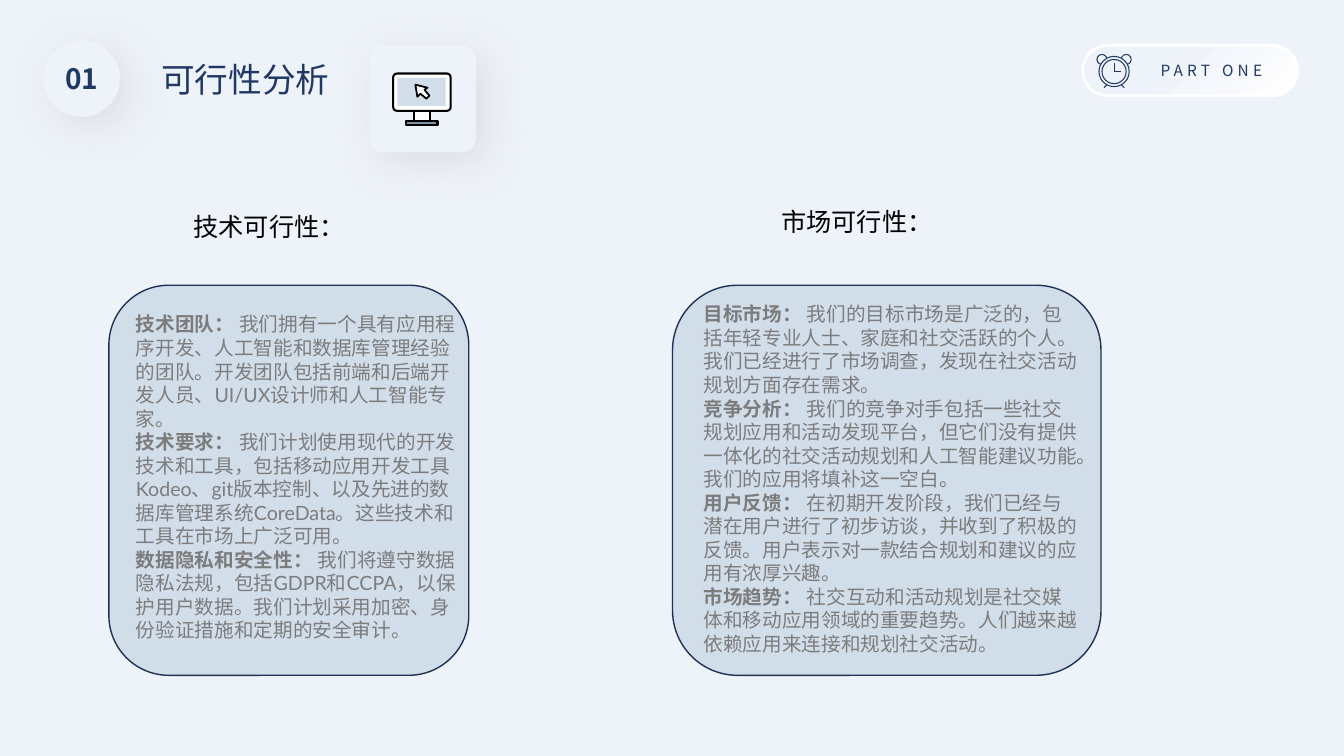
from dataclasses import dataclass

from lxml.etree import SubElement
from pptx import Presentation
from pptx.dml.color import RGBColor
from pptx.enum.shapes import MSO_CONNECTOR, MSO_SHAPE
from pptx.enum.text import MSO_ANCHOR, PP_ALIGN
from pptx.oxml.ns import qn
from pptx.util import Inches, Pt


@dataclass(frozen=True)
class Theme:
    back: str = "EEF2F9"
    navy: str = "203864"
    edge: str = "1E3256"
    card: str = "D2DDEA"
    shade: str = "CACED4"
    steel: str = "7F91A9"
    grey: str = "7C7C7C"
    black: str = "000000"
    white: str = "FFFFFF"
    sans: str = "Noto Sans CJK SC"
    body: str = "Lato"
    title: int = 24
    number: int = 20
    head: int = 18
    text: int = 14
    label: int = 11


T = Theme()

TECH = [
    ("技术团队：", "我们拥有一个具有应用程序开发、人工智能和数据库管理经验的团队。"
     "开发团队包括前端和后端开发人员、UI/UX设计师和人工智能专家。"),
    ("技术要求：", "我们计划使用现代的开发技术和工具，包括移动应用开发工具Kodeo、"
     "git版本控制、以及先进的数据库管理系统CoreData。这些技术和工具在市场上广泛可用。"),
    ("数据隐私和安全性：", "我们将遵守数据隐私法规，包括GDPR和CCPA，以保护用户数据。"
     "我们计划采用加密、身份验证措施和定期的安全审计。"),
]
MARKET = [
    ("目标市场：", "我们的目标市场是广泛的，包括年轻专业人士、家庭和社交活跃的个人。"
     "我们已经进行了市场调查，发现在社交活动规划方面存在需求。"),
    ("竞争分析：", "我们的竞争对手包括一些社交规划应用和活动发现平台，"
     "但它们没有提供一体化的社交活动规划和人工智能建议功能。我们的应用将填补这一空白。"),
    ("用户反馈：", "在初期开发阶段，我们已经与潜在用户进行了初步访谈，并收到了积极的反馈。"
     "用户表示对一款结合规划和建议的应用有浓厚兴趣。"),
    ("市场趋势：", "社交互动和活动规划是社交媒体和移动应用领域的重要趋势。"
     "人们越来越依赖应用来连接和规划社交活动。"),
]


def color(code):
    return RGBColor.from_string(code)


def paint(shape, fill=None, line=None, width=1):
    shape.shadow.inherit = False
    if fill:
        shape.fill.solid()
        shape.fill.fore_color.rgb = color(fill)
    else:
        shape.fill.background()
    if line:
        shape.line.color.rgb = color(line)
        shape.line.width = Pt(width)
    else:
        shape.line.fill.background()
    return shape


def add(slide, kind, box, fill=None, line=None, width=1):
    shape = slide.shapes.add_shape(kind, *map(Inches, box))
    return paint(shape, fill, line, width)


def stroke(slide, x1, y1, x2, y2):
    ends = map(Inches, (x1, y1, x2, y2))
    line = slide.shapes.add_connector(MSO_CONNECTOR.STRAIGHT, *ends)
    line.line.color.rgb = color(T.navy)
    line.line.width = Pt(0.75)
    SubElement(line._element.spPr, qn("a:effectLst"))


def soften(shape):
    """Give a raised look with a blurred shadow."""
    glow = SubElement(shape._element.spPr.find(qn("a:effectLst")), qn("a:outerShdw"),
                      blurRad=str(Pt(30)), dist=str(Pt(10)), dir="2700000",
                      algn="tl", rotWithShape="0")
    tint = SubElement(glow, qn("a:srgbClr"), val=T.shade)
    SubElement(tint, qn("a:alpha"), val="50000")


def style(para, size, code, face=T.sans, bold=None, align=PP_ALIGN.LEFT, space=None):
    para.alignment = align
    font = para.font
    font.size, font.bold, font.name = Pt(size), bold, face
    font.color.rgb = color(code)
    props = para._p.pPr.find(qn("a:defRPr"))
    SubElement(props, qn("a:ea"), typeface=face)
    if space:
        props.set("spc", str(space))


def write(slide, box, text, size, code, **look):
    frame = slide.shapes.add_textbox(*map(Inches, box)).text_frame
    frame.word_wrap = True
    frame.text = text
    style(frame.paragraphs[0], size, code, **look)
    return frame


# Title with its number disc
def header(slide, x, y):
    soften(add(slide, MSO_SHAPE.OVAL, (x, y, 0.76, 0.76), T.back))
    frame = write(slide, (x, y + 0.16, 0.76, 0.44), "01", T.number, T.navy,
                  bold=True, align=PP_ALIGN.CENTER)
    frame.margin_left = frame.margin_right = 0
    title = slide.shapes.title
    title.left, title.top = Inches(x + 1.07), Inches(y + 0.13)
    title.width, title.height = Inches(3.84), Inches(0.5)
    frame = title.text_frame
    frame.text = "可行性分析"
    frame.vertical_anchor = MSO_ANCHOR.TOP
    style(frame.paragraphs[0], T.title, T.navy)


# Raised tile with a monitor
def monitor(slide, x, y):
    tile = add(slide, MSO_SHAPE.ROUNDED_RECTANGLE, (x, y, 1.06, 1.06), T.back)
    tile.adjustments[0] = 0.13
    soften(tile)
    case = add(slide, MSO_SHAPE.ROUNDED_RECTANGLE, (x + 0.24, y + 0.28, 0.57, 0.37),
               T.white, T.black, 1.5)
    case.adjustments[0] = 0.1
    add(slide, MSO_SHAPE.RECTANGLE, (x + 0.28, y + 0.32, 0.48, 0.28), T.card)
    add(slide, MSO_SHAPE.RECTANGLE, (x + 0.45, y + 0.65, 0.16, 0.1), T.white, T.black, 1.5)
    add(slide, MSO_SHAPE.RECTANGLE, (x + 0.37, y + 0.75, 0.31, 0.04), T.steel, T.black, 1.5)
    points = [(0.46, 0.39), (0.58, 0.42), (0.55, 0.44), (0.6, 0.5),
              (0.57, 0.53), (0.51, 0.48), (0.48, 0.51)]
    spots = [(Inches(x + dx), Inches(y + dy)) for dx, dy in points]
    build = slide.shapes.build_freeform(*spots[0])
    build.add_line_segments(spots[1:], close=True)
    paint(build.convert_to_shape(), T.white, T.black, 1.25)


# Alarm clock centred on a point
def clock(slide, x, y):
    for side in (-1, 1):
        add(slide, MSO_SHAPE.OVAL, (x + side * 0.12 - 0.05, y - 0.17, 0.1, 0.1),
            T.back, T.navy, 0.75)
        stroke(slide, x + side * 0.07, y + 0.13, x + side * 0.1, y + 0.16)
    for r in (0.15, 0.12):
        add(slide, MSO_SHAPE.OVAL, (x - r, y - r, 2 * r, 2 * r), T.back, T.navy, 0.75)
    stroke(slide, x, y - 0.08, x, y)
    stroke(slide, x, y, x + 0.07, y)


# Section badge
def badge(slide, x, y):
    pill = add(slide, MSO_SHAPE.ROUNDED_RECTANGLE, (x, y, 2.13, 0.5), T.back, T.white, 2)
    pill.adjustments[0] = 0.5
    pill.fill.gradient()
    pill.fill.gradient_angle = 315
    for stop, code, place in zip(pill.fill.gradient_stops, (T.back, T.white), (0.35, 1)):
        stop.color.rgb = color(code)
        stop.position = place
    clock(slide, x + 0.31, y + 0.26)
    write(slide, (x + 0.48, y + 0.11, 1.59, 0.29), "PART ONE", T.label, T.navy,
          align=PP_ALIGN.CENTER, space=300)


# Heading over a rounded card of points
def panel(slide, card, head, inset, name, items):
    x, y, w, h = card
    write(slide, (x + head[0], y - head[1], 2.06, 0.4), name, T.head, T.black)
    add(slide, MSO_SHAPE.ROUNDED_RECTANGLE, card, T.card, T.edge)
    dx, dy, wide = inset
    box = (x + dx, y + dy, wide, h - 2 * dy)
    frame = slide.shapes.add_textbox(*map(Inches, box)).text_frame
    frame.word_wrap = True
    for i, (lead, text) in enumerate(items):
        para = frame.add_paragraph() if i else frame.paragraphs[0]
        run = para.add_run()
        run.text = lead
        run.font.bold = True
        para.add_run().text = " " + text
        style(para, T.text, T.grey, T.body)


def main():
    deck = Presentation()
    deck.slide_width, deck.slide_height = Inches(13.33), Inches(7.5)
    slide = deck.slides.add_slide(deck.slide_layouts[5])
    slide.background.fill.solid()
    slide.background.fill.fore_color.rgb = color(T.back)
    badge(slide, 10.74, 0.45)
    header(slide, 0.43, 0.4)
    monitor(slide, 3.66, 0.45)
    panel(slide, (1.08, 2.83, 3.57, 3.87), (0.74, 0.78), (0.17, 0.22, 3.4),
          "技术可行性：", TECH)
    panel(slide, (6.67, 2.83, 4.25, 3.87), (0.98, 0.83), (0.21, 0.12, 3.94),
          "市场可行性：", MARKET)
    deck.save("out.pptx")


if __name__ == "__main__":
    main()
